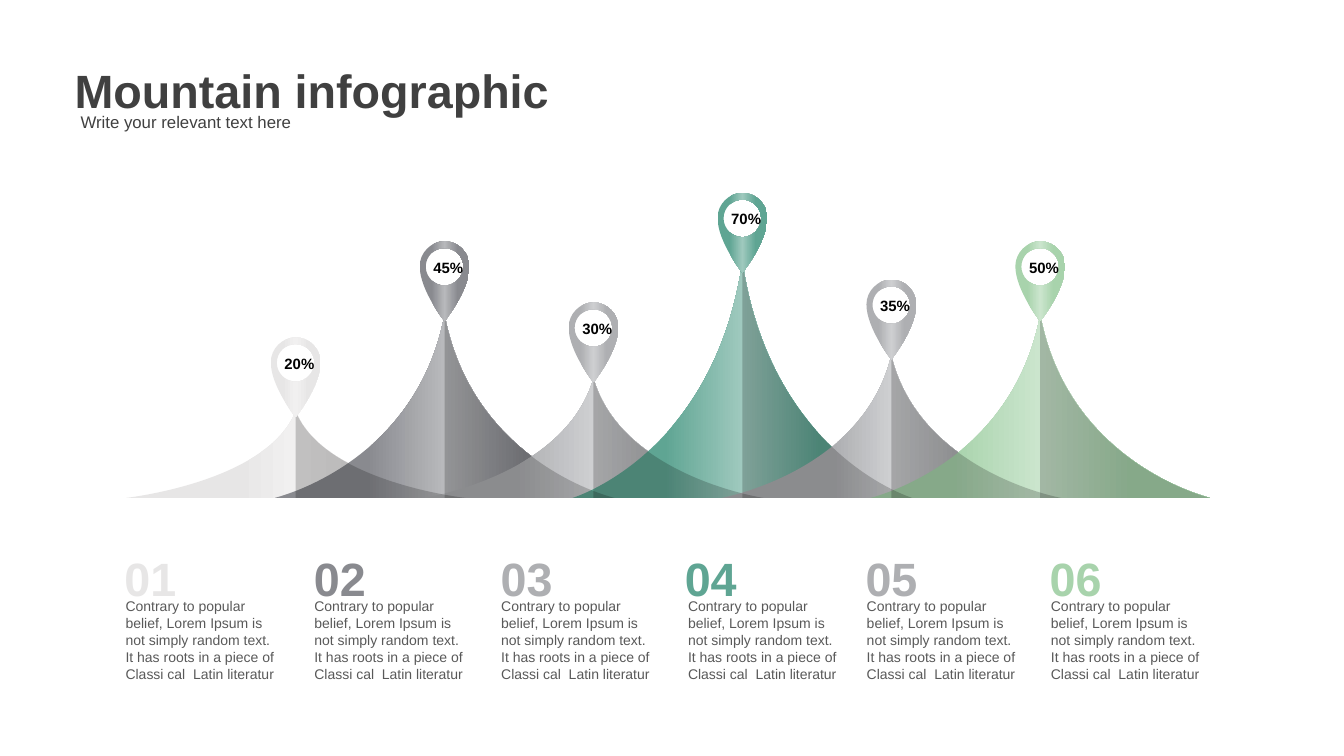
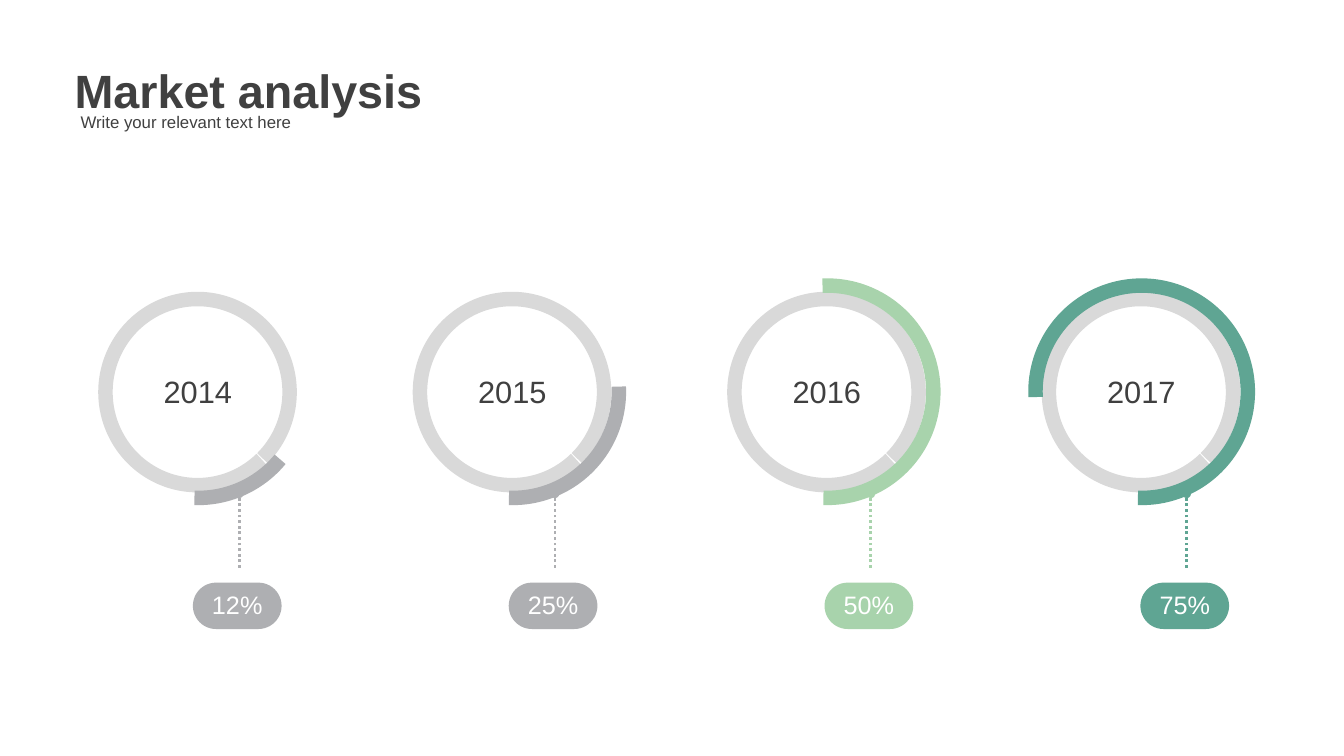
import copy
from dataclasses import dataclass

import pptx
import pptx.dml.color
import pptx.enum.dml
import pptx.enum.shapes
import pptx.enum.text
import pptx.oxml.ns
import pptx.shapes.autoshape
import pptx.shapes.shapetree
import pptx.slide
import pptx.util

Inches = pptx.util.Inches
Pt = pptx.util.Pt
RGB = pptx.dml.color.RGBColor.from_string
qn = pptx.oxml.ns.qn
Align = pptx.enum.text.PP_ALIGN
Anchor = pptx.enum.text.MSO_ANCHOR
Preset = pptx.enum.shapes.MSO_SHAPE
Shapes = pptx.shapes.shapetree.GroupShapes
Shape = pptx.shapes.autoshape.Shape
Point = tuple[float, float]


@dataclass(frozen=True)
class Tone:
    base: str
    light: str


@dataclass(frozen=True)
class Theme:
    font: str = "Arial"
    heading: str = "404040"
    body: str = "595959"
    black: str = "000000"
    white: str = "FFFFFF"
    shade: str = "010101"
    track: str = "D9D9D9"
    pale: Tone = Tone("E7E6E6", "F1F0F0")
    dark: Tone = Tone("898A8F", "B8B9BC")
    grey: Tone = Tone("AEAFB2", "CECFD1")
    teal: Tone = Tone("5FA593", "9FC9BE")
    mint: Tone = Tone("A8D3AC", "CBE5CD")
    title_size: float = 50
    number_size: float = 50
    year_size: float = 33
    share_size: float = 27
    subtitle_size: float = 18
    pin_size: float = 16
    body_size: float = 15
    ring_width: float = 15.5
    leader_width: float = 3


T = Theme()


@dataclass(frozen=True)
class Mountain:
    share: str
    tone: Tone
    peak: float
    pin_top: float
    fade: tuple[int, int]
    number_left: float
    body_left: float


@dataclass(frozen=True)
class Year:
    name: str
    share: str
    tone: Tone
    start: float


MOUNTAINS = [
    Mountain("20%", T.pale, 6.12, 5.02, (33, 72), 1.78, 1.77),
    Mountain("45%", T.dark, 4.68, 3.59, (27, 74), 4.6, 4.58),
    Mountain("30%", T.grey, 5.63, 4.5, (27, 72), 7.38, 7.36),
    Mountain("70%", T.teal, 3.89, 2.87, (27, 73), 10.12, 10.14),
    Mountain("35%", T.grey, 5.29, 4.16, (33, 72), 12.81, 12.8),
    Mountain("50%", T.mint, 4.68, 3.59, (24, 77), 15.55, 15.54),
]
FIRST_X, LAST_X = 4.4, 15.48
BASE, HALF_WIDTH = 7.41, 2.53
PIN_FADE = (24, 77)
PIN_OUTLINE = [
    (0, 0), (-0.2, 0), (-0.37, 0.17), (-0.37, 0.37),
    (-0.37, 0.73), (0, 1.19), (0, 1.19),
    (0, 1.19), (0.37, 0.73), (0.37, 0.37),
    (0.37, 0.17), (0.2, 0), (0, 0),
]
PIN_HOLE = [
    (0, 0.66), (-0.15, 0.66), (-0.28, 0.53), (-0.28, 0.38),
    (-0.28, 0.22), (-0.15, 0.1), (0, 0.1),
    (0.15, 0.1), (0.28, 0.22), (0.28, 0.38),
    (0.28, 0.53), (0.15, 0.66), (0, 0.66),
]
BODY = ("Contrary to popular belief, Lorem Ipsum is not simply random text. "
        "It has roots in a piece of Classi cal  Latin literatur")
SUBTITLE = "Write your relevant text here"

YEARS = [
    Year("2014", "12%", T.grey, 39.53),
    Year("2015", "25%", T.grey, 357.22),
    Year("2016", "50%", T.mint, 267.48),
    Year("2017", "75%", T.teal, 177.14),
]
ARC_END = 92.02
TRACK_START, TRACK_END = 46.42, 45.54
RING_STEP, PILL_STEP = 4.68, 4.7


def write(sp: Shape, text: str, size: float, color: str, bold: bool = False,
          align: Align = Align.LEFT, spacing: float = 1.0,
          insets: tuple[float, float] = (0.1, 0.05), grow: bool = False) -> None:
    tf = sp.text_frame
    tf.word_wrap = True
    fit = pptx.enum.text.MSO_AUTO_SIZE
    tf.auto_size = fit.SHAPE_TO_FIT_TEXT if grow else fit.NONE
    tf.margin_left = tf.margin_right = Inches(insets[0])
    tf.margin_top, tf.margin_bottom = Inches(insets[1]), Inches(0.04)
    tf.text = text
    p = tf.paragraphs[0]
    p.alignment = align
    p.line_spacing = spacing
    p.font.name = T.font
    p.font.size = Pt(size)
    p.font.bold = bold
    p.font.color.rgb = RGB(color)


def text_box(shapes: Shapes, left: float, top: float, width: float,
             height: float) -> Shape:
    return shapes.add_textbox(Inches(left), Inches(top), Inches(width), Inches(height))


def new_slide(prs: pptx.presentation.Presentation, title: str,
              width: float) -> pptx.slide.Slide:
    s = prs.slides.add_slide(prs.slide_layouts[5])
    sp = s.shapes.title
    sp.left, sp.top = Inches(1.06), Inches(0.79)
    sp.width, sp.height = Inches(width), Inches(0.94)
    write(sp, title, T.title_size, T.heading, True, Align.JUSTIFY,
          insets=(0.05, 0.13))
    sp.text_frame.vertical_anchor = Anchor.TOP
    write(text_box(s.shapes, 1.1, 1.61, 9.04, 0.4), SUBTITLE,
          T.subtitle_size, T.heading, grow=True)
    return s


def curve_shape(shapes: Shapes, *contours: list[Point]) -> Shape:
    points = [[(Inches(x), Inches(y)) for x, y in c] for c in contours]
    builder = shapes.build_freeform(*points[0][0], scale=1.0)
    for i, contour in enumerate(points):
        if i:
            builder.move_to(*contour[0])
        builder.add_line_segments(contour[1:], close=True)
    sp = builder.convert_to_shape()
    path = next(sp.element.iter(qn("a:path")))
    run = []
    for node in list(path):
        run = run + [node] if node.tag == qn("a:lnTo") else []
        if len(run) == 3:
            curve = path.makeelement(qn("a:cubicBezTo"))
            run[0].addprevious(curve)
            for line in run:
                curve.append(line[0])
                path.remove(line)
            run = []
    sp.shadow.inherit = False
    sp.line.fill.background()
    return sp


def fade_fill(sp: Shape, tone: Tone, fade: tuple[int, int]) -> None:
    sp.fill.gradient()
    sp.fill.gradient_angle = 0
    stops = next(sp.element.iter(qn("a:gsLst")))
    stops.append(copy.deepcopy(stops[0]))
    values = zip((fade[0], 50, fade[1]), (tone.base, tone.light, tone.base))
    for stop, (position, color) in zip(sp.fill.gradient_stops, values):
        stop.position = position / 100
        stop.color.rgb = RGB(color)


def right_slope(x: float, peak: float) -> list[Point]:
    foot = (x + HALF_WIDTH, BASE)
    return [foot, foot, (x + 0.42, BASE - 0.18 * (BASE - peak)), (x, peak)]


def draw_mountain(shapes: Shapes, m: Mountain, x: float) -> None:
    right = right_slope(x, m.peak)
    left = [(2 * x - px, py) for px, py in reversed(right)]
    fade_fill(curve_shape(shapes, right + left[1:]), m.tone, m.fade)


def draw_shade(shapes: Shapes, m: Mountain, x: float) -> None:
    sp = curve_shape(shapes, right_slope(x, m.peak) + [(x, BASE)])
    sp.fill.solid()
    sp.fill.fore_color.rgb = RGB(T.shade)
    color = next(sp.element.spPr.iter(qn("a:srgbClr")))
    color.append(color.makeelement(qn("a:alpha"), {"val": "20000"}))


def draw_pin(shapes: Shapes, m: Mountain, x: float) -> None:
    contours = [[(x + dx, m.pin_top + dy) for dx, dy in c]
                for c in (PIN_HOLE, PIN_OUTLINE)]
    fade_fill(curve_shape(shapes, *contours), m.tone, PIN_FADE)
    write(text_box(shapes, x - 0.39, m.pin_top + 0.15, 0.89, 0.42), m.share,
          T.pin_size, T.black, True, Align.CENTER, 1.2, grow=True)


def draw_column(shapes: Shapes, m: Mountain, number: int) -> None:
    write(text_box(shapes, m.number_left, 8.08, 1.51, 1.15), f"{number:02}",
          T.number_size, m.tone.base, True, insets=(0.07, 0.1))
    write(text_box(shapes, m.body_left, 8.85, 2.5, 1.36), BODY,
          T.body_size, T.body, grow=True)


def draw_arc(shapes: Shapes, left: float, top: float, width: float, height: float,
             start: float, end: float, color: str) -> None:
    sp = shapes.add_shape(Preset.ARC, Inches(left), Inches(top),
                          Inches(width), Inches(height))
    for i, degrees in enumerate((start, end)):
        sp.adjustments[i] = degrees * 0.6
    sp.shadow.inherit = False
    sp.fill.background()
    sp.line.color.rgb = RGB(color)
    sp.line.width = Pt(T.ring_width)


def draw_pill(shapes: Shapes, left: float, year: Year) -> None:
    sp = shapes.add_shape(Preset.ROUNDED_RECTANGLE, Inches(left), Inches(8.67),
                          Inches(1.32), Inches(0.69))
    sp.adjustments[0] = 0.5
    sp.shadow.inherit = False
    sp.fill.solid()
    sp.fill.fore_color.rgb = RGB(year.tone.base)
    sp.line.fill.background()
    write(sp, year.share, T.share_size, T.white, align=Align.CENTER, spacing=0.9)
    sp.text_frame.vertical_anchor = Anchor.MIDDLE


def draw_leader(shapes: Shapes, x: float, color: str) -> None:
    line = shapes.add_connector(pptx.enum.shapes.MSO_CONNECTOR.STRAIGHT,
                                Inches(x), Inches(8.45), Inches(x), Inches(7.35))
    line.line.color.rgb = RGB(color)
    line.line.width = Pt(T.leader_width)
    line.line.dash_style = pptx.enum.dml.MSO_LINE.ROUND_DOT
    props = line.element.spPr
    ln = props.find(qn("a:ln"))
    ln.append(ln.makeelement(qn("a:tailEnd"), {"type": "oval"}))
    props.append(props.makeelement(qn("a:effectLst")))


def draw_year(shapes: Shapes, year: Year, i: int) -> None:
    ring, pill = i * RING_STEP, i * PILL_STEP
    draw_arc(shapes, 1.57 + ring, 4.45, 2.74, 2.77, TRACK_START, TRACK_END, T.track)
    draw_arc(shapes, 1.37 + ring, 4.25, 3.16, 3.16, year.start, ARC_END, year.tone.base)
    write(text_box(shapes, 1.96 + ring, 5.45, 1.97, 0.72), year.name,
          T.year_size, T.heading, align=Align.CENTER, insets=(0.1, 0.1))
    draw_pill(shapes, 2.87 + pill, year)
    draw_leader(shapes, 3.56 + pill, year.tone.base)


def mountain_slide(prs: pptx.presentation.Presentation) -> None:
    s = new_slide(prs, "Mountain infographic", 11.35)
    step = (LAST_X - FIRST_X) / (len(MOUNTAINS) - 1)
    scene = s.shapes.add_group_shape().shapes
    for draw in (draw_mountain, draw_shade, draw_pin):
        for i, m in enumerate(MOUNTAINS):
            draw(scene, m, FIRST_X + i * step)
    for number, m in enumerate(MOUNTAINS, 1):
        draw_column(s.shapes.add_group_shape().shapes, m, number)


def market_slide(prs: pptx.presentation.Presentation) -> None:
    s = new_slide(prs, "Market analysis", 7.25)
    for i, year in enumerate(YEARS):
        draw_year(s.shapes.add_group_shape().shapes, year, i)


def main() -> None:
    prs = pptx.Presentation()
    prs.slide_width, prs.slide_height = Inches(20), Inches(11.25)
    mountain_slide(prs)
    market_slide(prs)
    prs.save("out.pptx")


if __name__ == "__main__":
    main()
